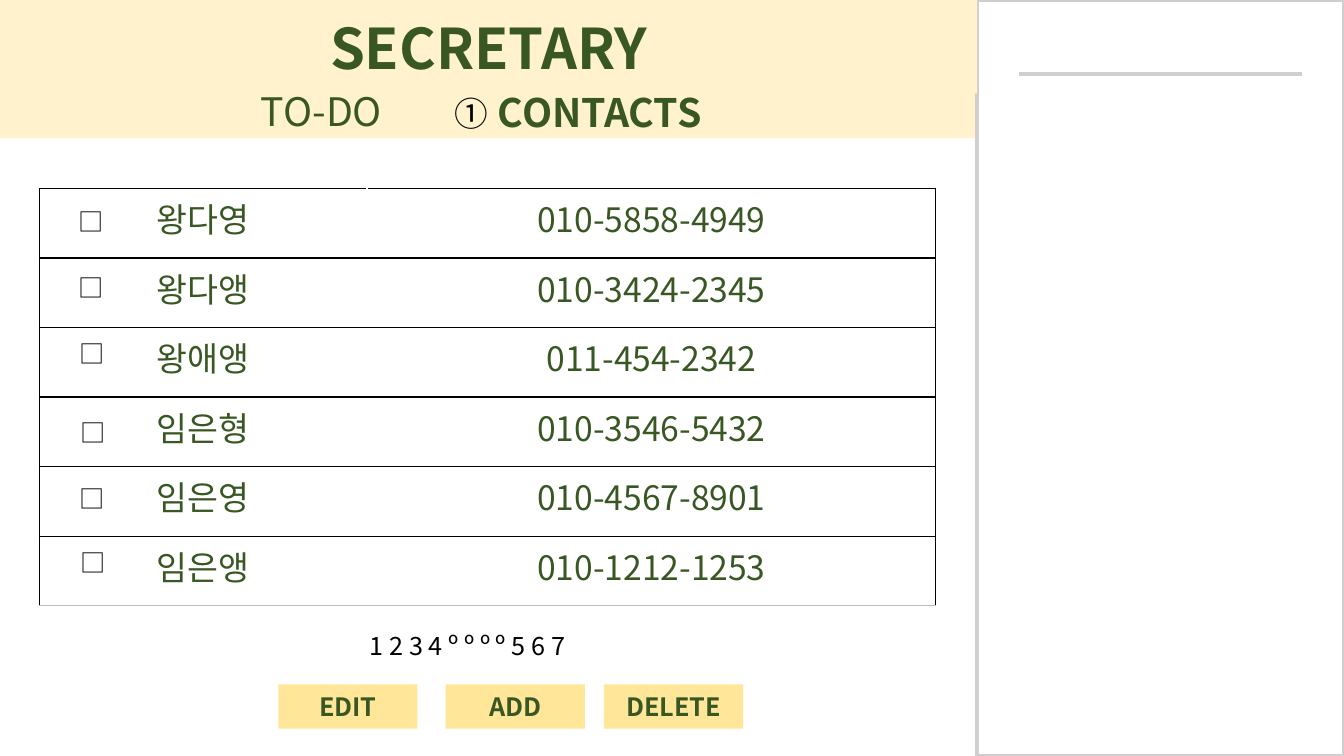
import pptx
import pptx.dml.color
import pptx.enum.shapes
import pptx.enum.text
import pptx.oxml
import pptx.oxml.ns
import pptx.util

Inches = pptx.util.Inches
Pt = pptx.util.Pt
RGB = pptx.dml.color.RGBColor
Align = pptx.enum.text.PP_ALIGN
Anchor = pptx.enum.text.MSO_ANCHOR

FONT = "Noto Sans CJK KR"
GREEN = RGB(0x38, 0x57, 0x23)
CREAM = RGB(0xFF, 0xF2, 0xCC)
GOLD = RGB(0xFF, 0xE6, 0x99)
GREY = RGB(0xD0, 0xCE, 0xCE)
SILVER = RGB(0xBF, 0xBF, 0xBF)
BLACK = RGB(0, 0, 0)
WHITE = RGB(0xFF, 0xFF, 0xFF)


class Page:
    def __init__(self, deck):
        self.slide = deck.slides.add_slide(deck.slide_layouts[6])
        self.shapes = self.slide.shapes

    def text(self, frame, words, size, color, bold=False, align=None):
        para = frame.paragraphs[0]
        para.alignment = align
        run = para.add_run()
        run.text = words
        font = run.font
        font.name, font.size, font.bold = FONT, Pt(size), bold
        font.color.rgb = color
        east = pptx.oxml.parse_xml(
            f'<a:ea {pptx.oxml.ns.nsdecls("a")} typeface="{FONT}"/>')
        run._r.get_or_add_rPr().append(east)

    def rect(self, box, fill=None, line=None, words="", size=18):
        shape = self.shapes.add_shape(
            pptx.enum.shapes.MSO_SHAPE.RECTANGLE, *map(Inches, box))
        shape.shadow.inherit = False
        if fill is None:
            shape.fill.background()
        else:
            shape.fill.solid()
            shape.fill.fore_color.rgb = fill
        if line is None:
            shape.line.fill.background()
        else:
            shape.line.color.rgb = line
            shape.line.width = Pt(3)
        if words:
            frame = shape.text_frame
            frame.vertical_anchor = Anchor.MIDDLE
            self.text(frame, words, size, GREEN, True, Align.CENTER)

    def label(self, box, words, size, color=BLACK, bold=False, wrap=True):
        frame = self.shapes.add_textbox(*map(Inches, box)).text_frame
        frame.word_wrap = wrap
        frame.auto_size = pptx.enum.text.MSO_AUTO_SIZE.SHAPE_TO_FIT_TEXT
        self.text(frame, words, size, color, bold)

    def rule(self, left, right, top):
        line = self.shapes.add_connector(
            pptx.enum.shapes.MSO_CONNECTOR.STRAIGHT,
            Inches(left), Inches(top), Inches(right), Inches(top))
        line.line.color.rgb = GREY
        line.line.width = Pt(2.75)
        line._element.spPr.append(pptx.oxml.parse_xml(
            f'<a:effectLst {pptx.oxml.ns.nsdecls("a")}/>'))

    def edge(self, cell, colors):
        props = cell._tc.get_or_add_tcPr()
        for spot, (side, color) in enumerate(zip("LRTB", colors)):
            props.insert(spot, pptx.oxml.parse_xml(
                f'<a:ln{side} {pptx.oxml.ns.nsdecls("a")} w="12700"><a:solidFill>'
                f'<a:srgbClr val="{color}"/></a:solidFill></a:ln{side}>'))

    def table(self, box, widths, rows):
        table = self.shapes.add_table(
            len(rows), len(widths), *map(Inches, box)).table
        table.first_row = table.horz_banding = False
        for col, width in zip(table.columns, widths):
            col.width = Inches(width)
        for r, row in enumerate(rows):
            table.rows[r].height = Inches(box[3] / len(rows))
            base = SILVER if r == len(rows) - 1 else BLACK
            for c, words in enumerate(row):
                cell = table.cell(r, c)
                cell.fill.solid()
                cell.fill.fore_color.rgb = WHITE
                sides = (WHITE, BLACK) if c else (BLACK, WHITE)
                self.edge(cell, (*sides, BLACK, base))
                self.text(cell.text_frame, words, 24, GREEN, align=Align.CENTER)


deck = pptx.Presentation()
deck.slide_width, deck.slide_height = Inches(13.33), Inches(7.5)
page = Page(deck)

# Side panel
page.rect((9.69, 0, 3.64, 7.5), line=GREY)
page.rule(10.11, 12.91, 0.73)

# Title band
page.rect((0, 0, 9.69, 0.93), CREAM, words="SECRETARY", size=40)

# Contact list
page.table((0.39, 1.87, 8.89, 4.14), (3.25, 5.64), [
    ("왕다영", "010-5858-4949"),
    ("왕다앵", "010-3424-2345"),
    ("왕애앵", "011-454-2342"),
    ("임은형", "010-3546-5432"),
    ("임은영", "010-4567-8901"),
    ("임은앵", "010-1212-1253"),
])

# Tabs
page.rect((0, 0.73, 9.67, 0.64), CREAM)
page.label((2.49, 0.82, 1.58, 0.57), "TO-DO", 28, GREEN)
page.label((4.84, 0.83, 2.3, 0.57), "CONTACTS", 28, GREEN, bold=True)
page.label((4.41, 0.87, 0.54, 0.5), "①", 24, wrap=False)

# Buttons
for left, name in ((2.76, "EDIT"), (4.42, "ADD"), (5.99, "DELETE")):
    page.rect((left, 6.79, 1.38, 0.44), GOLD, words=name)

# Check boxes
for left, top in ((0.68, 2), (0.68, 2.65), (0.69, 3.31),
                  (0.7, 4.09), (0.69, 4.75), (0.7, 5.38)):
    page.label((left, top, 0.32, 0.4), "□", 18)

# Page numbers
page.label((3.57, 6.2, 2.54, 0.4), "1 2 3 4 º º º º 5 6 7", 18)

deck.save("out.pptx")
